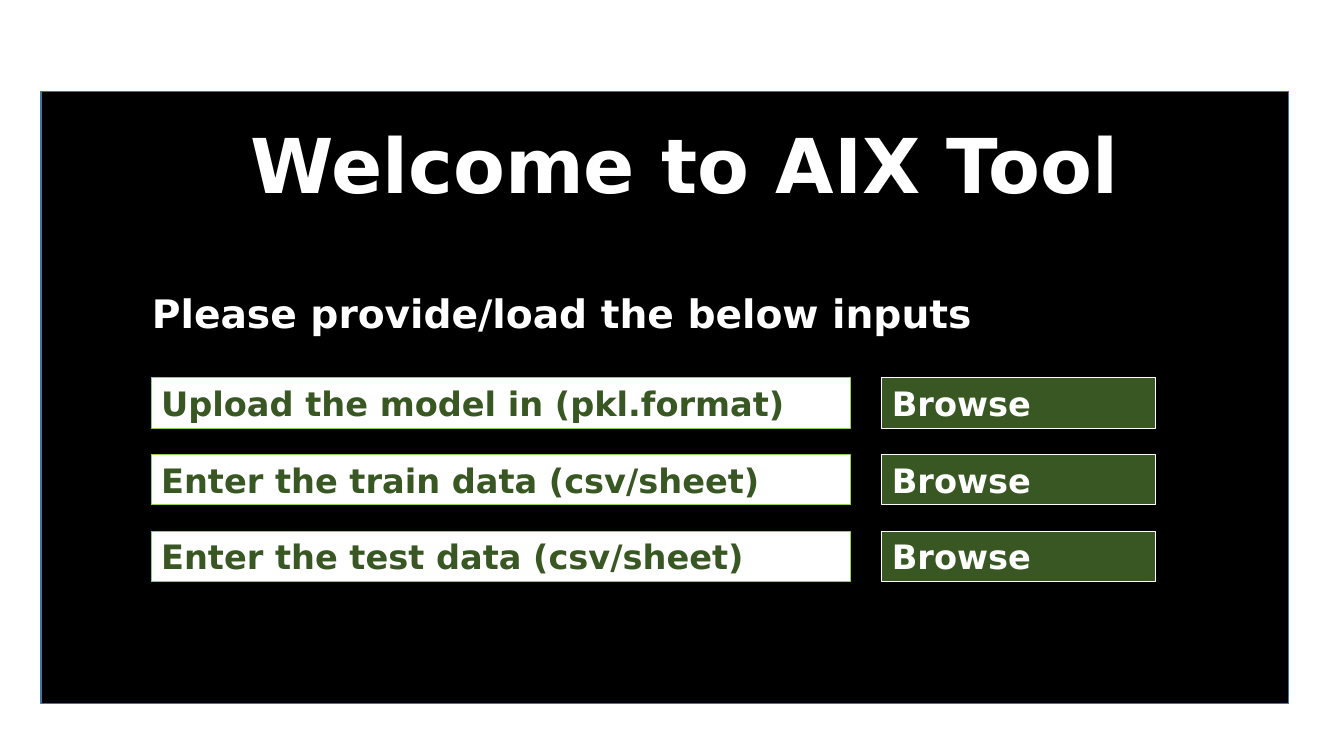
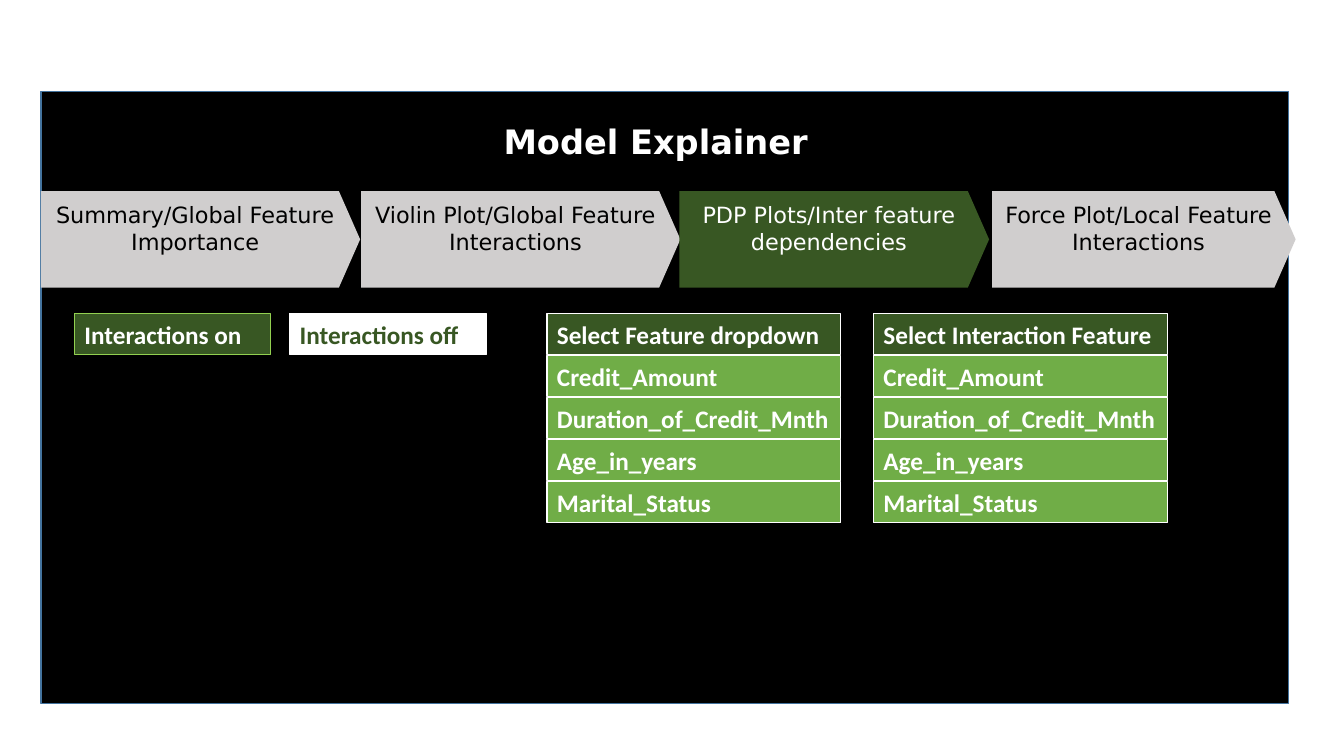
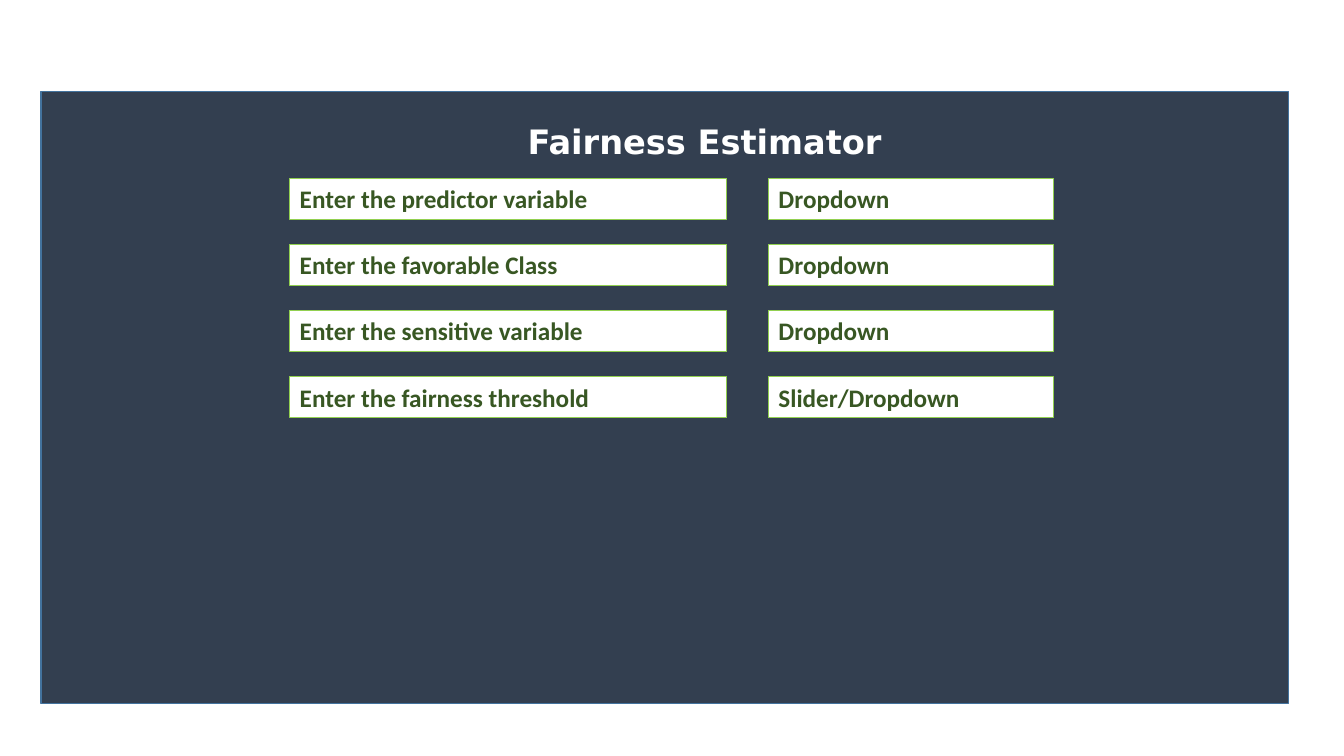
from pptx import Presentation
from pptx import util as u
from pptx.dml.color import RGBColor
from pptx.enum import shapes, text

PX = 9525  # one px in EMU, 96 px to the inch
WHITE, BLACK, NAVY, BLUE = "FFFFFF", "000000", "333F50", "43739E"
GREEN, LEAF, LIME, GRAY = "385723", "70AD47", "92D050", "D0CECE"

# Text formats
SANS, PLAIN = "DejaVu Sans", "Calibri"
HERO = {"name": SANS, "size": u.Pt(54), "bold": True}
LEAD = {"name": SANS, "size": u.Pt(28), "bold": True}
HEAD = {"name": SANS, "size": u.Pt(24), "bold": True}
STEP = {"name": SANS, "size": u.Pt(16), "bold": False}
ITEM = {"name": PLAIN, "size": u.Pt(18), "bold": True}

# Box looks: fill, line, text colour
FIELD = (WHITE, LIME, GREEN)
BUTTON = (GREEN, WHITE, WHITE)
OPTION = (LEAF, WHITE, WHITE)
ON = (GREEN, LIME, WHITE)
OFF = (WHITE, WHITE, GREEN)


def rgb(hue):
    return RGBColor.from_string(hue)


def px(*nums):
    return [u.Emu(n * PX) for n in nums]


def write(shape, words, font, hue, center=False, grow=True):
    frame = shape.text_frame
    fit = text.MSO_AUTO_SIZE
    look = {
        "word_wrap": True,
        "vertical_anchor": text.MSO_ANCHOR.TOP,
        "auto_size": fit.SHAPE_TO_FIT_TEXT if grow else fit.NONE,
    }
    for key, value in look.items():
        setattr(frame, key, value)
    para = frame.paragraphs[0]
    para.text = words
    para.alignment = text.PP_ALIGN.CENTER if center else text.PP_ALIGN.LEFT
    for key, value in font.items():
        setattr(para.font, key, value)
    para.font.color.rgb = rgb(hue)
    return frame


def block(slide, kind, area, fill, line=None, width=0.75):
    shape = slide.shapes.add_shape(kind, *px(*area))
    shape.shadow.inherit = False
    shape.fill.solid()
    shape.fill.fore_color.rgb = rgb(fill)
    if line:
        shape.line.color.rgb = rgb(line)
        shape.line.width = u.Pt(width)
    else:
        shape.line.fill.background()
    return shape


def box(slide, area, words, look, font=ITEM):
    fill, line, hue = look
    shape = block(slide, shapes.MSO_SHAPE.RECTANGLE, area, fill, line)
    write(shape, words, font, hue)


def label(slide, area, words, font=HEAD):
    write(slide.shapes.add_textbox(*px(*area)), words, font, WHITE, True)


def plate(slide, area, words, fill, hue):
    shape = block(slide, shapes.MSO_SHAPE.PENTAGON, area, fill)
    shape.adjustments[0] = 0.22
    frame = write(shape, words, STEP, hue, True, False)
    for side in ("left", "right", "top", "bottom"):
        setattr(frame, "margin_" + side, u.Inches(0.1))


def stack(slide, area, pitch, names, look, font=ITEM):
    left, top, wide, high = area
    for row, name in enumerate(names):
        box(slide, (left, top + row * pitch, wide, high), name, look, font)


def page(deck, fill):
    slide = deck.slides.add_slide(deck.slide_layouts[6])
    block(slide, shapes.MSO_SHAPE.RECTANGLE, (39, 87, 1188, 583), fill, BLUE, 1)
    return slide


def welcome(deck):
    slide = page(deck, BLACK)
    names = [
        "Upload the model in (pkl.format)",
        "Enter the train data (csv/sheet)",
        "Enter the test data (csv/sheet)",
    ]
    stack(slide, (144, 360, 666, 48), 73, names, FIELD, HEAD)
    stack(slide, (840, 360, 261, 48), 73, ["Browse"] * 3, BUTTON, HEAD)
    label(slide, (188, 108, 928, 97), "Welcome to AIX Tool", HERO)
    label(slide, (71, 271, 928, 55), "Please provide/load the below inputs", LEAD)


def explainer(deck):
    slide = page(deck, BLACK)
    # Step band
    steps = [
        (39, 304, "Summary/Global Feature Importance", GRAY, BLACK),
        (344, 304, "Violin Plot/Global Feature Interactions", GRAY, BLACK),
        (647, 295, "PDP Plots/Inter feature dependencies", GREEN, WHITE),
        (945, 289, "Force Plot/Local Feature Interactions", GRAY, BLACK),
    ]
    for left, wide, words, fill, hue in steps:
        plate(slide, (left, 182, wide, 92), words, fill, hue)
    label(slide, (463, 110, 323, 48), "Model Explainer")
    # Switches
    box(slide, (71, 299, 187, 39), "Interactions on", ON)
    box(slide, (276, 299, 187, 39), "Interactions off", OFF)
    # Open lists
    names = ["Credit_Amount", "Duration_of_Credit_Mnth",
             "Age_in_years", "Marital_Status"]
    heads = [(521, "Select Feature dropdown"),
             (832, "Select Interaction Feature")]
    for left, head in heads:
        box(slide, (left, 299, 280, 39), head, BUTTON)
        stack(slide, (left, 339, 280, 39), 40, names, OPTION)


def fairness(deck):
    slide = page(deck, NAVY)
    names = [
        "Enter the predictor variable",
        "Enter the favorable Class",
        "Enter the sensitive variable",
        "Enter the fairness threshold",
    ]
    picks = ["Dropdown"] * 3 + ["Slider/Dropdown"]
    stack(slide, (276, 170, 416, 39), 63, names, FIELD)
    stack(slide, (732, 170, 271, 39), 63, picks, FIELD)
    label(slide, (463, 110, 416, 48), "Fairness Estimator")


def main():
    deck = Presentation()
    deck.slide_width, deck.slide_height = px(1280, 720)
    for build in (welcome, explainer, fairness):
        build(deck)
    deck.save("out.pptx")


if __name__ == "__main__":
    main()
